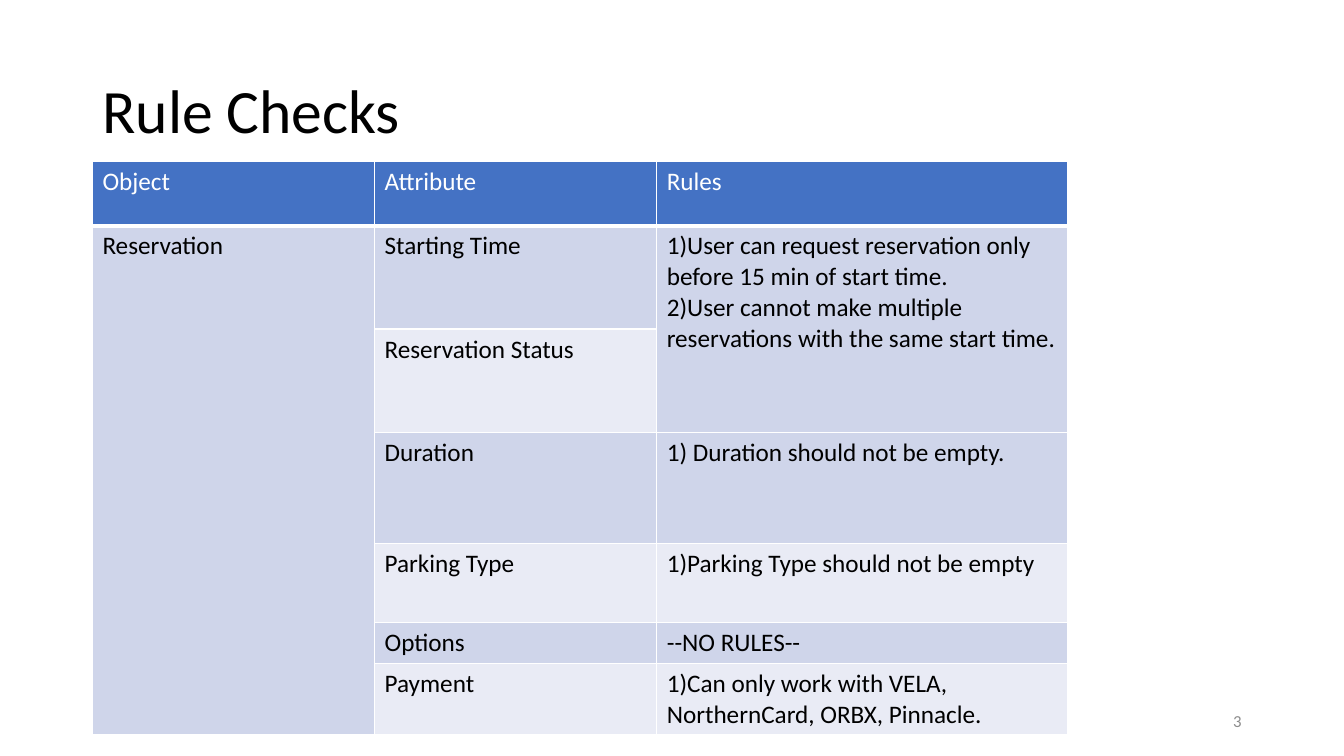
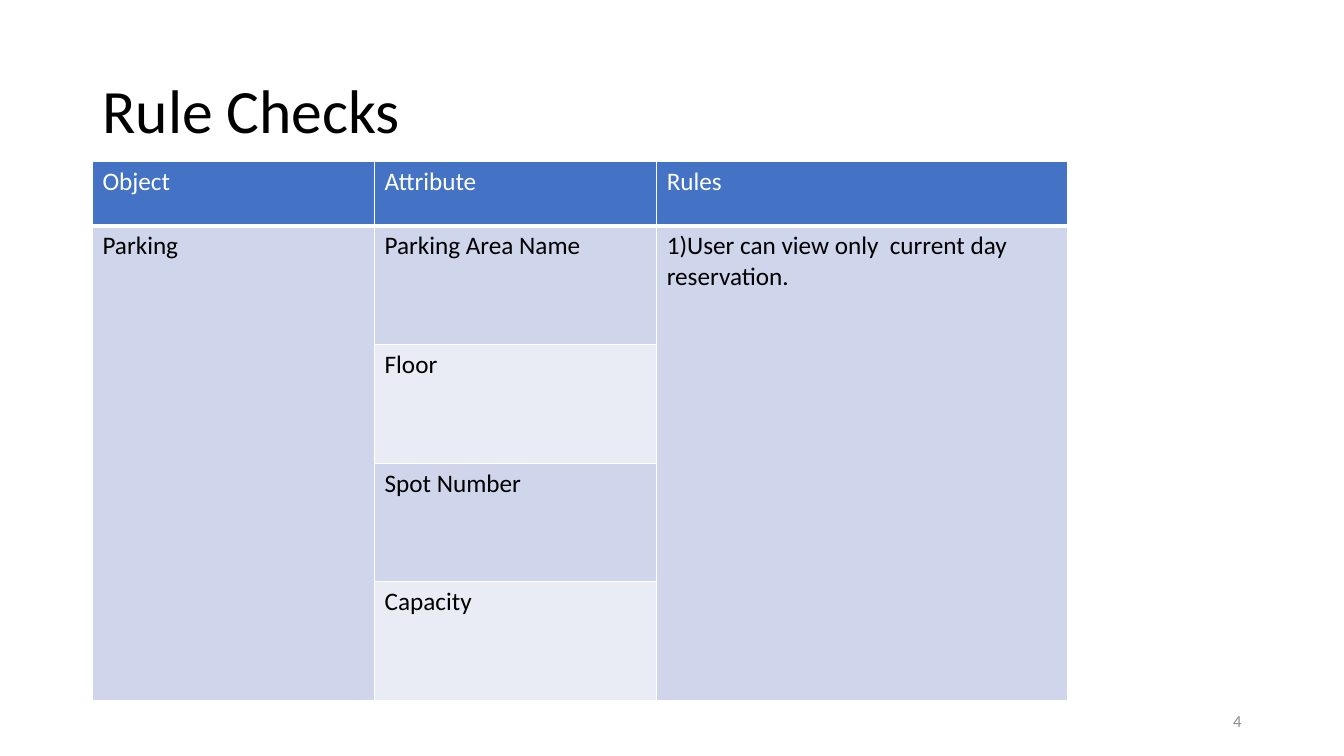
from lxml import etree
from pptx import Presentation, util as u
from pptx.dml.color import RGBColor
from pptx.enum import text
from pptx.oxml import ns


def colour(value):
    return RGBColor.from_string(value)


class RuleDeck:
    FONT = "Calibri"
    BLACK, WHITE, GREY = "000000", "FFFFFF", "8C8C8C"
    HEADER, BANDS = "4472C4", ("CFD5EA", "E9EBF5")
    COLUMNS = (7.11, 7.11, 10.36)
    HEADINGS = ("Object", "Attribute", "Rules")
    HEADER_HEIGHT = 1.62

    def __init__(self):
        self.deck = Presentation()
        self.deck.slide_width, self.deck.slide_height = u.Cm(33.87), u.Cm(19.05)
        self.page = None

    def add_page(self, title, number):
        self.page = self.deck.slides.add_slide(self.deck.slide_layouts[6])
        heading = self.add_text(title, (2.33, 1.01, 29.21, 3.68), 44, self.BLACK)
        heading.line_spacing = 0.9
        footer = self.add_text(str(number), (23.92, 17.66, 7.62, 1.01), 12, self.GREY)
        footer.alignment = text.PP_ALIGN.RIGHT

    def set_font(self, para, size, ink):
        para.font.name, para.font.size = self.FONT, u.Pt(size)
        para.font.bold = False
        para.font.color.rgb = colour(ink)

    def add_text(self, words, place, size, ink):
        box = self.page.shapes.add_textbox(*map(u.Cm, place))
        frame = box.text_frame
        frame.word_wrap = True
        frame.vertical_anchor = text.MSO_ANCHOR.MIDDLE
        para = frame.paragraphs[0]
        para.text = words
        self.set_font(para, size, ink)
        return para

    def set_borders(self, cell, bottom):
        properties = cell._tc.get_or_add_tcPr()
        for side, points in (("L", 1), ("R", 1), ("T", 1), ("B", bottom)):
            line = etree.SubElement(properties, ns.qn("a:ln" + side), w=str(u.Pt(points)))
            fill = etree.SubElement(line, ns.qn("a:solidFill"))
            etree.SubElement(fill, ns.qn("a:srgbClr"), val=self.WHITE)

    def fill_cell(self, cell, words, fill, ink, bottom=1):
        self.set_borders(cell, bottom)
        cell.fill.solid()
        cell.fill.fore_color.rgb = colour(fill)
        cell.text = words
        for para in cell.text_frame.paragraphs:
            self.set_font(para, 18, ink)

    def add_rules(self, subject, rows, shared_rows):
        """Each row is (height, attribute, rule); the first rule spans shared_rows."""
        heights = [self.HEADER_HEIGHT] + [row[0] for row in rows]
        frame = self.page.shapes.add_table(
            len(heights), len(self.COLUMNS), u.Cm(2.33), u.Cm(4.07),
            u.Cm(sum(self.COLUMNS)), u.Cm(sum(heights)))
        table = frame.table
        table.horz_banding = False
        for column, width in zip(table.columns, self.COLUMNS):
            column.width = u.Cm(width)
        for row, height in zip(table.rows, heights):
            row.height = u.Cm(height)

        # Header row
        for index, heading in enumerate(self.HEADINGS):
            self.fill_cell(table.cell(0, index), heading, self.HEADER, self.WHITE, 3)

        # Banded body
        for index, (_, attribute, rule) in enumerate(rows):
            words = (subject if index == 0 else "", attribute, rule)
            for column, entry in enumerate(words):
                band = self.BANDS[index % 2]
                self.fill_cell(table.cell(index + 1, column), entry, band, self.BLACK)

        # Cells that span several rows
        table.cell(1, 0).merge(table.cell(len(rows), 0))
        table.cell(1, 2).merge(table.cell(shared_rows, 2))


rules = RuleDeck()

# Reservation rules
rules.add_page("Rule Checks", 3)
rules.add_rules("Reservation", [
    (2.6, "Starting Time",
     "1)User can request reservation only before 15 min of start time.\n"
     "2)User cannot make multiple reservations with the same start time."),
    (2.6, "Reservation Status", ""),
    (2.8, "Duration", "1) Duration should not be empty."),
    (2, "Parking Type", "1)Parking Type should not be empty"),
    (1.03, "Options", "--NO RULES--"),
    (1.79, "Payment", "1)Can only work with VELA, NorthernCard, ORBX, Pinnacle."),
], shared_rows=2)

# Parking rules
rules.add_page("Rule Checks", 4)
attributes = ("Parking Area Name", "Floor", "Spot Number", "Capacity")
view_rule = "1)User can view only  current day reservation."
rules.add_rules("Parking", [
    (2.99, attribute, "" if index else view_rule)
    for index, attribute in enumerate(attributes)
], shared_rows=len(attributes))

rules.deck.save("out.pptx")
